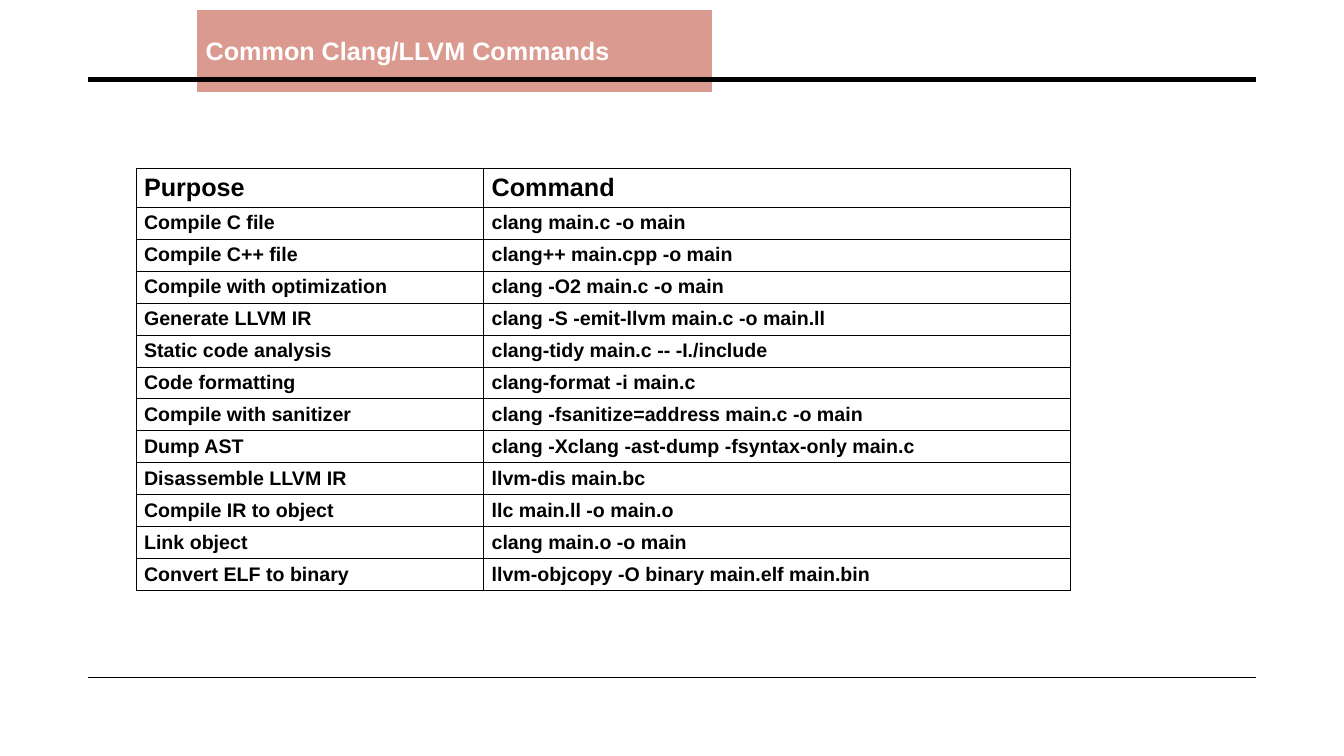
from lxml.etree import SubElement
from pptx import Presentation
from pptx.dml.color import RGBColor
from pptx.enum.shapes import MSO_CONNECTOR as Connector
from pptx.enum.text import MSO_ANCHOR as Anchor, MSO_AUTO_SIZE as AutoSize, PP_ALIGN as Align
from pptx.oxml.ns import qn
from pptx.util import Cm, Pt


def paint(color_format, color):
    color_format.rgb = RGBColor.from_string(color)


def style_text(frame, size, color):
    para = frame.paragraphs[0]
    para.alignment = Align.LEFT
    for span in para.runs:
        span.font.name = "Arial"
        span.font.size = Pt(size)
        span.font.bold = True
        paint(span.font.color, color)


commands = [
    ("Purpose", "Command"),
    ("Compile C file", "clang main.c -o main"),
    ("Compile C++ file", "clang++ main.cpp -o main"),
    ("Compile with optimization", "clang -O2 main.c -o main"),
    ("Generate LLVM IR", "clang -S -emit-llvm main.c -o main.ll"),
    ("Static code analysis", "clang-tidy main.c -- -I./include"),
    ("Code formatting", "clang-format -i main.c"),
    ("Compile with sanitizer", "clang -fsanitize=address main.c -o main"),
    ("Dump AST", "clang -Xclang -ast-dump -fsyntax-only main.c"),
    ("Disassemble LLVM IR", "llvm-dis main.bc"),
    ("Compile IR to object", "llc main.ll -o main.o"),
    ("Link object", "clang main.o -o main"),
    ("Convert ELF to binary", "llvm-objcopy -O binary main.elf main.bin"),
]

deck = Presentation()
deck.slide_width, deck.slide_height = Cm(33.87), Cm(19.05)
page = deck.slides.add_slide(deck.slide_layouts.get_by_name("Title Only"))

for height, weight in [(2, 3.5), (17.07, 1)]:
    rule = page.shapes.add_connector(
        Connector.STRAIGHT, Cm(2.23), Cm(height), Cm(31.65), Cm(height)
    )
    rule.line.width = Pt(weight)
    paint(rule.line.color, "000000")
    SubElement(rule._element.spPr, qn("a:effectLst"))

title = page.shapes.title
title.left, title.top, title.width, title.height = Cm(4.93), Cm(0.77), Cm(13.03), Cm(1.02)
title.fill.solid()
paint(title.fill.fore_color, "DB9A8F")
title.line.width = Pt(1.5)
paint(title.line.color, "FFFFFF")
title.text_frame.text = "Common Clang/LLVM Commands"
title.text_frame.auto_size = AutoSize.SHAPE_TO_FIT_TEXT
title.text_frame.vertical_anchor = Anchor.MIDDLE
style_text(title.text_frame, 18, "FFFFFF")

grid = page.shapes.add_table(
    len(commands), 2, Cm(3.43), Cm(4.25), Cm(23.55), Cm(10.65)
).table
grid.first_row = False
grid.horz_banding = False
grid.columns[0].width, grid.columns[1].width = Cm(8.76), Cm(14.79)

for row_index, entry in enumerate(commands):
    is_header = row_index == 0
    grid.rows[row_index].height = Cm(0.97 if is_header else 0.805)
    for column_index, wording in enumerate(entry):
        cell = grid.cell(row_index, column_index)
        cell.text_frame.text = wording
        cell.vertical_anchor = Anchor.MIDDLE
        cell.margin_left = cell.margin_right = Cm(0.2)
        cell.margin_top = cell.margin_bottom = Cm(0.1)
        style_text(cell.text_frame, 18 if is_header else 14, "000000")
        properties = cell._tc.get_or_add_tcPr()
        for side in ("a:lnL", "a:lnR", "a:lnT", "a:lnB"):
            border = SubElement(properties, qn(side), w=str(Pt(0.6)))
            border_fill = SubElement(border, qn("a:solidFill"))
            SubElement(border_fill, qn("a:srgbClr"), val="000000")
        cell.fill.background()

deck.save("out.pptx")
